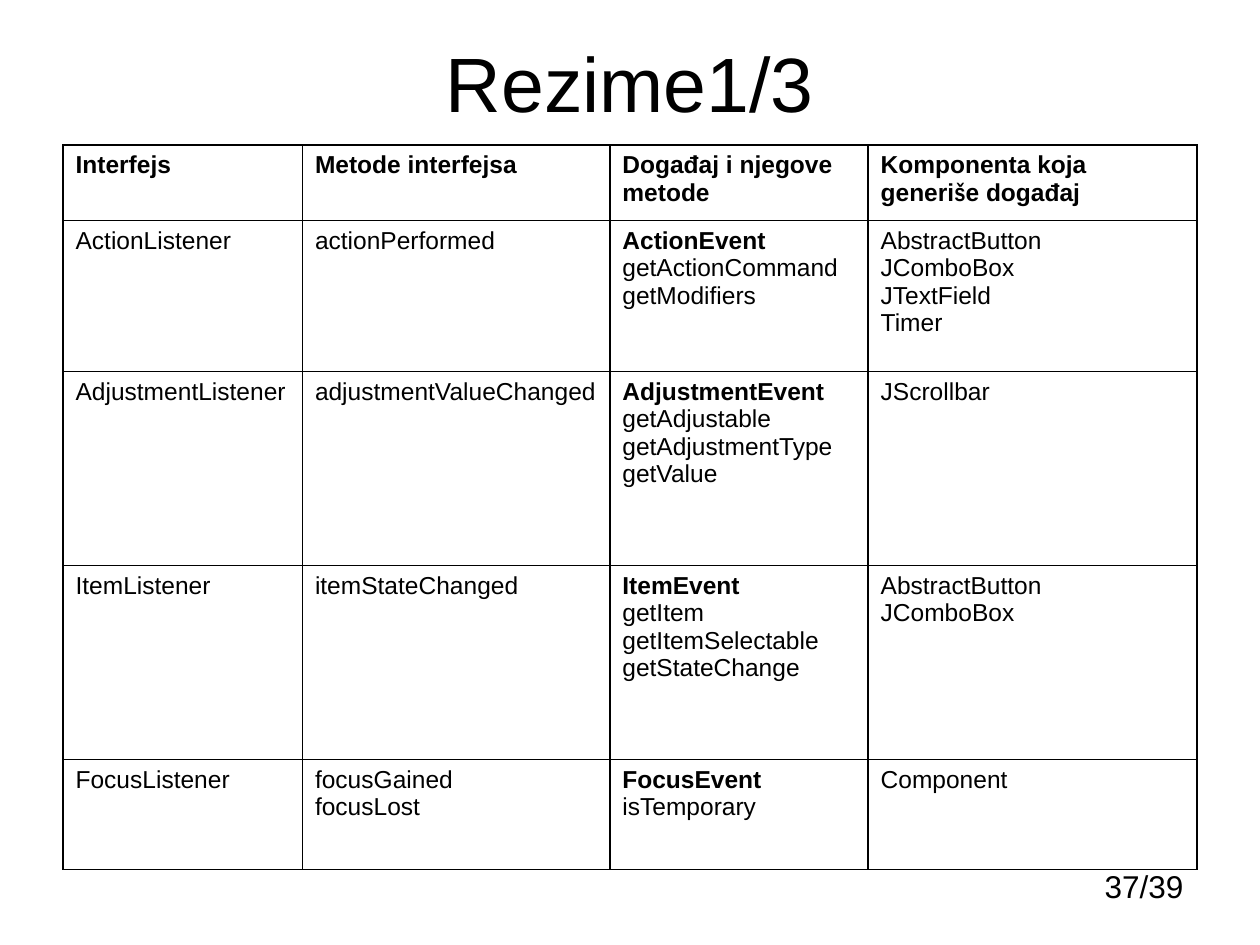
from lxml import etree
from pptx import Presentation
from pptx.dml.color import RGBColor
from pptx.enum.text import MSO_ANCHOR, PP_ALIGN
from pptx.oxml.ns import qn
from pptx.util import Inches, Pt

BLACK = RGBColor(0, 0, 0)
WHITE = RGBColor(255, 255, 255)
MIDDLE, TOP = MSO_ANCHOR.MIDDLE, MSO_ANCHOR.TOP
CENTER, RIGHT = PP_ALIGN.CENTER, PP_ALIGN.RIGHT
TITLE_ONLY = 5
EVENT_COLUMN = 2

COLUMN_WIDTHS = [1.9, 2.44, 2.05, 2.61]
ROW_HEIGHTS = [0.6, 1.2, 1.54, 1.54, 0.87]
LISTENERS = [
    ["Interfejs", "Metode interfejsa", "Događaj i njegove metode",
     "Komponenta koja generiše događaj"],
    ["ActionListener", "actionPerformed",
     "ActionEvent\ngetActionCommand\ngetModifiers",
     "AbstractButton\nJComboBox\nJTextField\nTimer"],
    ["AdjustmentListener", "adjustmentValueChanged",
     "AdjustmentEvent\ngetAdjustable\ngetAdjustmentType\ngetValue",
     "JScrollbar"],
    ["ItemListener", "itemStateChanged",
     "ItemEvent\ngetItem\ngetItemSelectable\ngetStateChange",
     "AbstractButton\nJComboBox"],
    ["FocusListener", "focusGained\nfocusLost",
     "FocusEvent\nisTemporary", "Component"],
]


def style(paragraph, size, bold=False):
    font = paragraph.font
    font.name, font.size, font.bold = "Arial", Pt(size), bold
    font.color.rgb = BLACK


def add_borders(cell):
    properties = cell._tc.get_or_add_tcPr()
    for position, side in enumerate(("a:lnL", "a:lnR", "a:lnT", "a:lnB")):
        line = etree.Element(qn(side), w=str(Pt(1)))
        fill = etree.SubElement(line, qn("a:solidFill"))
        etree.SubElement(fill, qn("a:srgbClr"), val=str(BLACK))
        properties.insert(position, line)


prs = Presentation()
prs.slide_width, prs.slide_height = Inches(10), Inches(7.5)
slide = prs.slides.add_slide(prs.slide_layouts[TITLE_ONLY])

title = slide.shapes.title
title.left, title.top = Inches(0.5), Inches(0.3)
title.width, title.height = Inches(9), Inches(0.69)
title.text_frame.text = "Rezime1/3"
title.text_frame.vertical_anchor = MIDDLE
title.text_frame.paragraphs[0].alignment = CENTER
style(title.text_frame.paragraphs[0], 44)

page_number = slide.shapes.add_textbox(
    Inches(7.05), Inches(6.83), Inches(2.44), Inches(0.4)).text_frame
page_number.word_wrap = True
page_number.text = "37/39"
page_number.paragraphs[0].alignment = RIGHT
style(page_number.paragraphs[0], 18)

summary = slide.shapes.add_table(
    len(ROW_HEIGHTS), len(COLUMN_WIDTHS), Inches(0.5), Inches(1.15),
    Inches(sum(COLUMN_WIDTHS)), Inches(sum(ROW_HEIGHTS))).table
summary.first_row = summary.horz_banding = False
for column, width in zip(summary.columns, COLUMN_WIDTHS):
    column.width = Inches(width)
for row, height in zip(summary.rows, ROW_HEIGHTS):
    row.height = Inches(height)

for r, listener in enumerate(LISTENERS):
    for c, words in enumerate(listener):
        cell = summary.cell(r, c)
        cell.vertical_anchor = TOP
        cell.fill.solid()
        cell.fill.fore_color.rgb = WHITE
        add_borders(cell)
        cell.text = words
        for n, paragraph in enumerate(cell.text_frame.paragraphs):
            event_name = c == EVENT_COLUMN and n == 0
            if r > 0 and c == EVENT_COLUMN:
                tabs = etree.SubElement(
                    paragraph._p.get_or_add_pPr(), qn("a:tabLst"))
                etree.SubElement(
                    tabs, qn("a:tab"), pos=str(Inches(0.5)), algn="l")
            style(paragraph, 14, bold=r == 0 or event_name)

# The letter š of the last heading is set in the narrow face.
heading = summary.cell(0, 3).text_frame.paragraphs[0]
before, narrow, after = heading.text.partition("š")
heading.runs[0].text = before
for part, face in ((narrow, "Arial Narrow"), (after, "Arial")):
    run = heading.add_run()
    run.text, run.font.name = part, face

prs.save("out.pptx")
